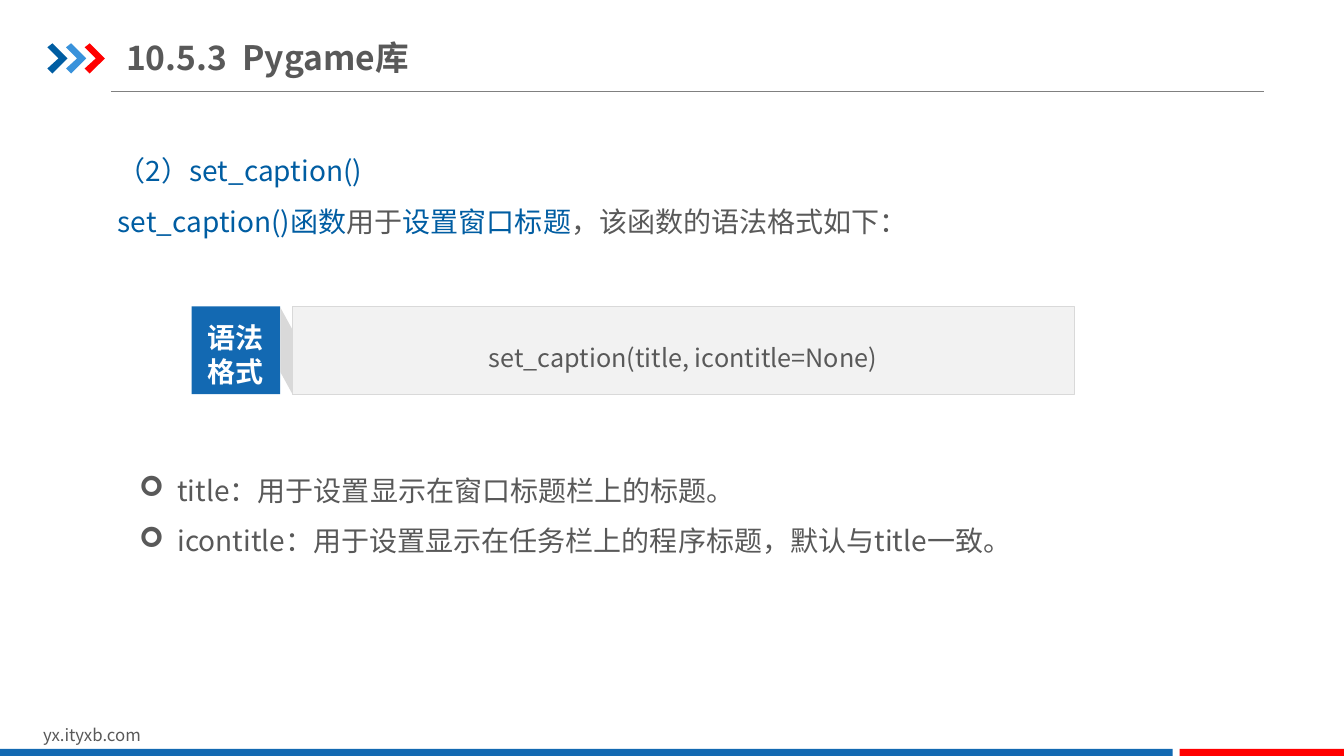
import pptx
import pptx.dml.color
import pptx.enum.shapes
import pptx.enum.text
import pptx.oxml
import pptx.oxml.ns
import pptx.util

Inches = pptx.util.Inches
RGBColor = pptx.dml.color.RGBColor
Align = pptx.enum.text.PP_ALIGN
Anchor = pptx.enum.text.MSO_ANCHOR
AutoSize = pptx.enum.text.MSO_AUTO_SIZE

FONT = "Noto Sans CJK SC"
NAVY = RGBColor(0x00, 0x5D, 0xA2)
SKY = RGBColor(0x39, 0x92, 0xDB)
BLUE = RGBColor(0x13, 0x69, 0xB2)
RED = RGBColor(0xFF, 0x00, 0x00)
WHITE = RGBColor(0xFF, 0xFF, 0xFF)
TEXT_GRAY = RGBColor(0x59, 0x59, 0x59)
RULE_GRAY = RGBColor(0x80, 0x80, 0x80)
EDGE_GRAY = RGBColor(0xD9, 0xD9, 0xD9)
PANEL_GRAY = RGBColor(0xF2, 0xF2, 0xF2)


def make_element(tag, **attributes):
    element = pptx.oxml.parse_xml(f"<{tag} {pptx.oxml.ns.nsdecls('a')}/>")
    for name, value in attributes.items():
        element.set(name, str(value))
    return element


def write(frame, paragraphs, size=20, color=TEXT_GRAY, bold=False, align=Align.LEFT,
          spacing=None, anchor=Anchor.TOP, insets=(0.1, 0.05), wrap=True,
          auto_size=AutoSize.NONE, bullet=None, indent=0.38):
    """Fill a frame; each paragraph is a string or a list of (text, color) spans."""
    frame.word_wrap = wrap
    frame.auto_size = auto_size
    frame.vertical_anchor = anchor
    frame.margin_left = frame.margin_right = Inches(insets[0])
    frame.margin_top = frame.margin_bottom = Inches(insets[1])
    for index, spans in enumerate(paragraphs):
        para = frame.paragraphs[0] if index == 0 else frame.add_paragraph()
        para.alignment = align
        if spacing:
            para.line_spacing = spacing
        if bullet:
            properties = para._p.get_or_add_pPr()
            properties.set("marL", str(Inches(indent)))
            properties.set("indent", str(-Inches(indent)))
            properties.append(make_element("a:buFont", typeface="Wingdings"))
            properties.append(make_element("a:buChar", char=bullet))
        if isinstance(spans, str):
            spans = [(spans, color)]
        for text, span_color in spans:
            span = para.add_run()
            span.text = text
            span.font.size = pptx.util.Pt(size)
            span.font.bold = bold
            span.font.color.rgb = span_color
            span.font.name = FONT
            span.font._element.append(make_element("a:ea", typeface=FONT))


def add_text(page, left, top, width, height, paragraphs, **style):
    box = page.shapes.add_textbox(*map(Inches, (left, top, width, height)))
    write(box.text_frame, paragraphs, **style)


def paint(shape, fill, edge=None):
    shape.shadow.inherit = False
    shape.fill.solid()
    shape.fill.fore_color.rgb = fill
    if edge is None:
        shape.line.fill.background()
    else:
        shape.line.color.rgb = edge
        shape.line.width = pptx.util.Pt(0.25)


def add_rectangle(page, left, top, width, height, fill, edge=None):
    shape = page.shapes.add_shape(pptx.enum.shapes.MSO_SHAPE.RECTANGLE,
                                  *map(Inches, (left, top, width, height)))
    paint(shape, fill, edge)
    return shape


def add_polygon(page, left, top, points, fill):
    """Draw a closed outline whose points are offsets from left and top."""
    corners = [(Inches(left + x), Inches(top + y)) for x, y in points]
    builder = page.shapes.build_freeform(*corners[0])
    builder.add_line_segments(corners[1:], close=True)
    paint(builder.convert_to_shape(), fill)


def add_header(page, left, top, title):
    chevron = [(0, 0.04), (0.05, 0), (0.2, 0.15), (0.05, 0.3), (0, 0.25), (0.11, 0.15)]
    for index, color in enumerate((NAVY, SKY, RED)):
        add_polygon(page, left + index * 0.185, top + 0.14, chevron, color)

    rule_top = Inches(top + 0.62)
    rule = page.shapes.add_connector(pptx.enum.shapes.MSO_CONNECTOR.STRAIGHT,
                                     Inches(left + 0.63), rule_top,
                                     Inches(left + 12.07), rule_top)
    rule.line.color.rgb = RULE_GRAY
    rule.line.width = pptx.util.Pt(0.75)
    rule._element.spPr.append(make_element("a:effectLst"))

    box = page.shapes.title
    box.left, box.top = Inches(left + 0.78), Inches(top)
    box.width, box.height = Inches(5.02), Inches(0.55)
    write(box.text_frame, [title], size=24, bold=True, anchor=Anchor.MIDDLE, insets=(0, 0.07))


def add_footer(page, top, width, site):
    add_text(page, 0.33, top - 0.29, 3.18, 0.3, [site], size=12,
             auto_size=AutoSize.SHAPE_TO_FIT_TEXT)
    red_width = 1.63
    add_rectangle(page, 0, top, width - red_width - 0.07, 0.09, BLUE)
    add_rectangle(page, width - red_width, top, red_width, 0.09, RED)


def add_syntax_panel(page, left, top, width, height, label, code):
    """Place a label tab, a folded edge and a code panel side by side."""
    tab_width, fold_width = 0.88, 0.12
    panel_left = left + tab_width + fold_width
    panel = add_rectangle(page, panel_left, top, left + width - panel_left, height,
                          PANEL_GRAY, EDGE_GRAY)
    write(panel.text_frame, [code], size=18, align=Align.CENTER, spacing=1.5,
          anchor=Anchor.MIDDLE)
    add_rectangle(page, left, top, tab_width, height, BLUE)
    add_text(page, left + 0.06, top + 0.09, tab_width - 0.12, 0.37, label, color=WHITE,
             bold=True, align=Align.CENTER, wrap=False,
             auto_size=AutoSize.SHAPE_TO_FIT_TEXT)
    fold = [(fold_width, 0.22), (fold_width, height - 0.01), (0, height - 0.23), (0, 0)]
    add_polygon(page, left + tab_width, top + 0.01, fold, EDGE_GRAY)


def main():
    deck = pptx.Presentation()
    deck.slide_width, deck.slide_height = Inches(13.33), Inches(7.5)
    page = deck.slides.add_slide(deck.slide_layouts.get_by_name("Title Only"))

    add_header(page, 0.47, 0.29, "10.5.3  Pygame库")
    add_footer(page, 7.43, 13.33, "yx.ityxb.com")
    add_text(page, 1.07, 1.31, 11.18, 1.1, [
        [("（2）set_caption()", NAVY)],
        [("set_caption()函数", NAVY), ("用于", TEXT_GRAY), ("设置窗口标题", NAVY),
         ("，该函数的语法格式如下：", TEXT_GRAY)],
    ], spacing=1.5)
    add_syntax_panel(page, 1.9, 3.04, 8.75, 0.87, ["语法", "格式"],
                     "set_caption(title, icontitle=None)")
    add_text(page, 1.25, 4.46, 10.53, 1.1, [
        "title：用于设置显示在窗口标题栏上的标题。",
        "icontitle：用于设置显示在任务栏上的程序标题，默认与title一致。",
    ], align=Align.JUSTIFY, spacing=1.5, insets=(0.13, 0.07), bullet="➢")

    deck.save("out.pptx")


if __name__ == "__main__":
    main()
